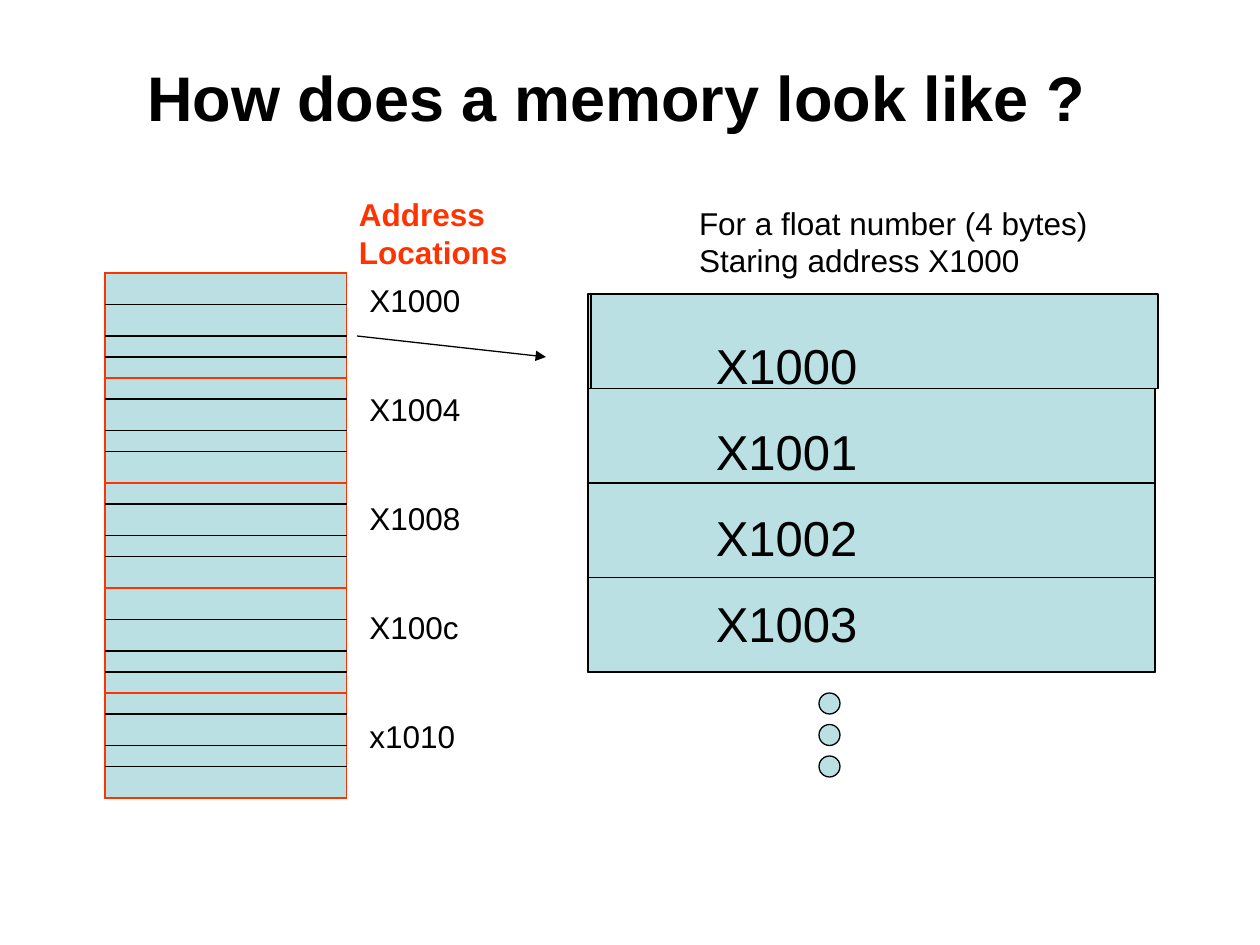
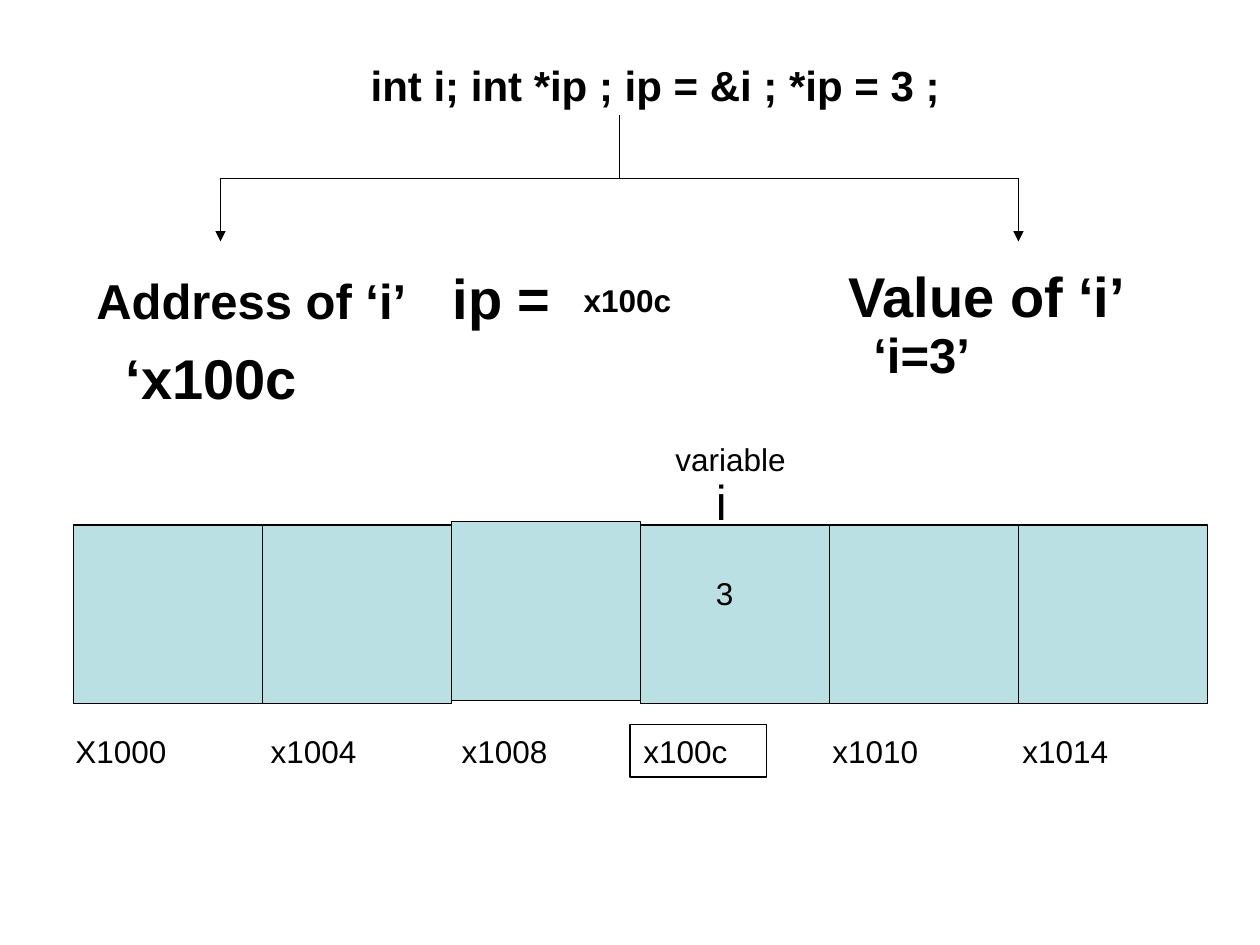
import pptx
import pptx.dml.color
import pptx.enum.shapes
import pptx.enum.text
import pptx.util
from pptx.oxml.ns import qn
from lxml import etree

SCALE = 7620  # EMU in one px, 120 px to the inch
FONT = "Arial"
BLACK, RED, CELL = "000000", "FF3300", "BBE0E3"
TITLE_ONLY = 5
LEFT_SIDE, RIGHT_SIDE = 1, 3

SHAPES = pptx.enum.shapes.MSO_SHAPE
ALIGN = pptx.enum.text.PP_ALIGN


def px(length):
    return pptx.util.Emu(length * SCALE)


def paint(target, color):
    target.rgb = pptx.dml.color.RGBColor.from_string(color)


class Painter:
    """Holds the deck, its style and the current slide."""

    def __init__(self):
        self.deck = pptx.Presentation()
        self.deck.slide_width, self.deck.slide_height = px(1200), px(900)
        self.page = None

    def new_page(self):
        layout = self.deck.slide_layouts[TITLE_ONLY]
        self.page = self.deck.slides.add_slide(layout)

    def fill_text(self, box, lines, size, bold=False, color=BLACK,
                  align=ALIGN.LEFT, gap=0, wrap=True):
        frame = box.text_frame
        settings = {
            "word_wrap": wrap,
            "auto_size": pptx.enum.text.MSO_AUTO_SIZE.NONE,
            "vertical_anchor": pptx.enum.text.MSO_ANCHOR.TOP,
            "margin_left": px(12), "margin_right": px(12),
            "margin_top": px(6), "margin_bottom": px(6),
        }
        for name, value in settings.items():
            setattr(frame, name, value)
        for index, line in enumerate(lines):
            para = frame.add_paragraph() if index else frame.paragraphs[0]
            para.alignment = align
            para.space_before = pptx.util.Pt(gap if index else 0)
            span = para.add_run()
            span.text = line
            style = {"name": FONT, "size": pptx.util.Pt(size), "bold": bold}
            for name, value in style.items():
                setattr(span.font, name, value)
            paint(span.font.color, color)
        return box

    def title(self, text, left, top, width, height, size, **style):
        box = self.page.shapes.title
        place = {"left": left, "top": top, "width": width, "height": height}
        for name, value in place.items():
            setattr(box, name, px(value))
        self.fill_text(box, [text], size, bold=True, **style)

    def text(self, lines, left, top, width, height, size=18, **style):
        box = self.page.shapes.add_textbox(*map(px, (left, top, width, height)))
        return self.fill_text(box, lines, size, **style)

    def tabbed(self, words, stops, left, top, width, height):
        box = self.text(["\t".join(words)], left, top, width, height)
        properties = box.text_frame.paragraphs[0]._p.get_or_add_pPr()
        tabs = etree.SubElement(properties, qn("a:tabLst"))
        for stop in stops:
            etree.SubElement(tabs, qn("a:tab"), pos=str(px(stop)), algn="l")

    def shape(self, left, top, width, height, fill=CELL, line=BLACK,
              kind=SHAPES.RECTANGLE):
        shape = self.page.shapes.add_shape(
            kind, *map(px, (left, top, width, height)))
        shape.shadow.inherit = False
        if fill:
            shape.fill.solid()
            paint(shape.fill.fore_color, fill)
        else:
            shape.fill.background()
        paint(shape.line.color, line)
        shape.line.width = pptx.util.Pt(0.75)
        return shape

    def line(self, x1, y1, x2, y2, arrow=False):
        line = self.page.shapes.add_connector(
            pptx.enum.shapes.MSO_CONNECTOR.STRAIGHT, *map(px, (x1, y1, x2, y2)))
        paint(line.line.color, BLACK)
        line.line.width = pptx.util.Pt(0.75)
        properties = line._element.spPr
        if arrow:
            etree.SubElement(properties.find(qn("a:ln")), qn("a:tailEnd"),
                             type="triangle")
        etree.SubElement(properties, qn("a:effectLst"))
        return line


def memory_slide(painter):
    painter.new_page()
    painter.title("How does a memory look like ?", 120, 50, 934, 84, 36,
                  align=ALIGN.CENTER)

    # Memory column: five words, each divided into four bytes
    left, top, width, word_height = 100, 260, 230, 100
    painter.shape(left, top, width, 5 * word_height)
    words = [painter.shape(left, top + i * word_height, width, word_height,
                           line=RED) for i in range(5)]
    wide_first, narrow_first = (30, 60, 80), (20, 50, 70)
    divisions = (wide_first, narrow_first, narrow_first, wide_first, narrow_first)
    for i, (word, offsets) in enumerate(zip(words, divisions)):
        for offset in offsets:
            y = top + i * word_height + offset
            divider = painter.line(left, y, left + width, y)
            if offset == word_height // 2:
                divider.begin_connect(word, LEFT_SIDE)
                divider.end_connect(word, RIGHT_SIDE)

    # Addresses of the words
    painter.text(["Address Locations"], 330, 180, 270, 84, bold=True, color=RED)
    painter.text(["X1000", "X1004", "X1008", "X100c", "x1010"],
                 340, 262, 150, 481, gap=40.6)

    # One word enlarged to its four bytes
    painter.shape(560, 280, 540, 360)
    for i in range(4):
        painter.shape(560 if i else 563, 280 + i * 90, 540, 90)
    painter.line(340, 320, 520, 340, arrow=True)
    painter.text(["X1000", "X1001", "X1002", "X1003"], 670, 314, 300, 320,
                 size=28, gap=15.4)
    painter.text(["For a float number (4 bytes)", "Staring address X1000"],
                 654, 188, 394, 84, wrap=False)

    # Dots for the words that follow
    for i in range(3):
        painter.shape(780, 660 + i * 30, 20, 20, kind=SHAPES.OVAL)


def pointer_slide(painter):
    painter.new_page()
    painter.title("int i; int *ip ; ip = &i ; *ip = 3 ;", 341, 51, 590, 60, 24)

    # Branch to address and value
    branch_left, branch_right, branch_y = 210, 970, 170
    painter.line(branch_left, branch_y, branch_right, branch_y)
    painter.line(590, 110, 590, branch_y)
    for x in (branch_left, branch_right):
        painter.line(x, branch_y, x, branch_y + 60, arrow=True)

    # Address and value of the variable
    for text, left, top, width, height, size, align in (
            ("Address of ‘i’", 80, 252, 360, 68, 28, ALIGN.LEFT),
            ("Value of ‘i’", 690, 243, 500, 76, 32, ALIGN.CENTER),
            ("‘x100c", 108, 321, 208, 76, 32, ALIGN.LEFT),
            ("‘i=3’", 820, 303, 230, 68, 28, ALIGN.LEFT),
            ("ip =", 412, 245, 132, 76, 32, ALIGN.CENTER)):
        painter.text([text], left, top, width, height, size=size, bold=True,
                     align=align)
    painter.text(["x100c"], 544, 262, 108, 48, bold=True, wrap=False)

    # Memory cells, the third one slightly raised
    for i in range(6):
        painter.shape(70 + i * 180, 497 if i == 2 else 500, 180, 170)
    painter.text(["variable"], 600, 413, 160, 48, align=ALIGN.RIGHT)
    painter.text(["i"], 670, 443, 130, 68, size=28)
    painter.text(["3"], 670, 541, 60, 48)

    # Cell addresses, with the variable's own framed
    painter.tabbed(["X1000", "x1004", "x1008", "x100c", "x1010", "x1014"],
                   (186, 368, 541, 721, 902), 60, 691, 1090, 48)
    painter.shape(600, 690, 130, 50, fill=None)


def main():
    painter = Painter()
    memory_slide(painter)
    pointer_slide(painter)
    painter.deck.save("out.pptx")


if __name__ == "__main__":
    main()
